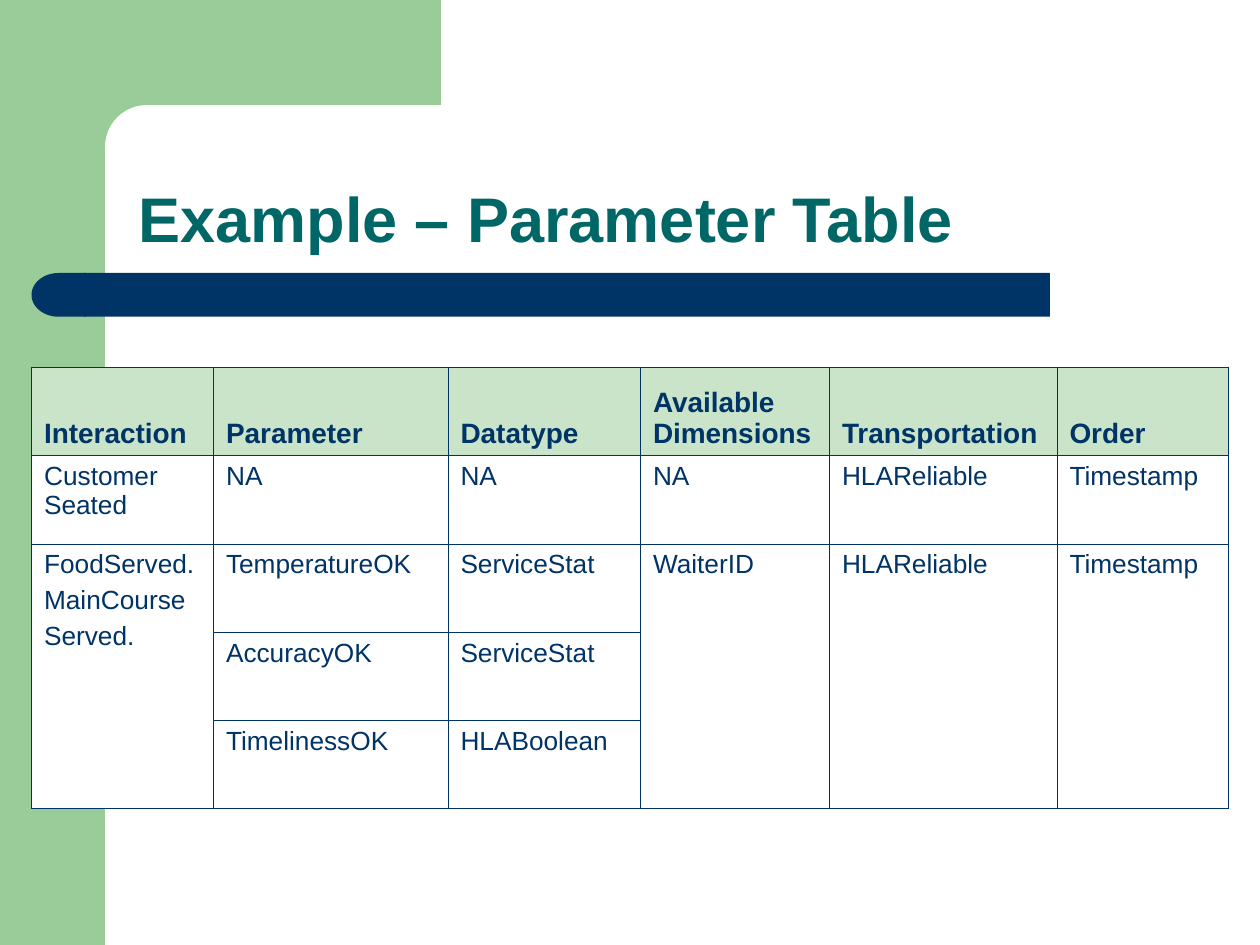
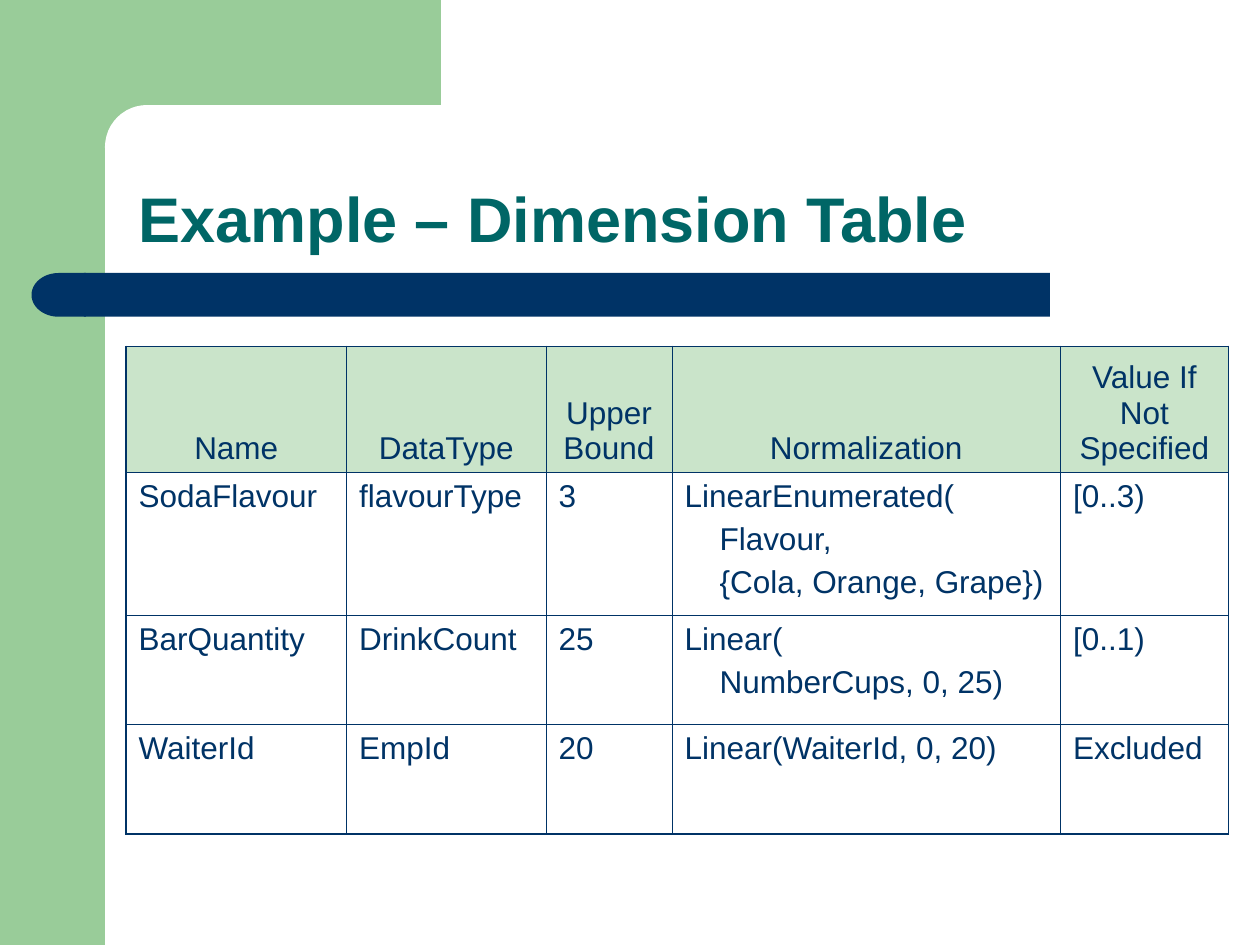
from dataclasses import dataclass

import pptx
import pptx.dml.color
import pptx.enum.shapes
import pptx.enum.text
import pptx.oxml
import pptx.oxml.ns
import pptx.presentation
import pptx.slide
import pptx.table
import pptx.text.text
import pptx.util

Pt = pptx.util.Pt
RGBColor = pptx.dml.color.RGBColor
MSO_SHAPE = pptx.enum.shapes.MSO_SHAPE
PP_ALIGN = pptx.enum.text.PP_ALIGN
MSO_ANCHOR = pptx.enum.text.MSO_ANCHOR

# Shared look
GREEN = RGBColor(0x99, 0xCC, 0x99)
PALE_GREEN = RGBColor(0xCA, 0xE4, 0xCA)
NAVY = RGBColor(0x00, 0x33, 0x66)
TEAL = RGBColor(0x00, 0x66, 0x66)
WHITE = RGBColor(0xFF, 0xFF, 0xFF)
FONT = "Arial"
INNER_BORDER = Pt(0.45)
OUTER_BORDER = Pt(1.08)
TITLE_ONLY_LAYOUT = 5


@dataclass(frozen=True)
class Band:
    """A decorative shape; lengths in points."""
    kind: MSO_SHAPE
    left: float
    top: float
    width: float
    height: float
    color: RGBColor
    rounding: float | None = None
    rotation: float = 0


@dataclass(frozen=True)
class TableSpec:
    """A table slide; lengths in points, newlines separate paragraphs."""
    title: str
    left: float
    top: float
    column_widths: list[float]
    row_heights: list[float]
    rows: list[list[str]]
    header_size: float
    body_size: float
    paragraph_gap: float
    header_bold: bool = False
    header_align: PP_ALIGN = PP_ALIGN.LEFT
    body_fill: RGBColor | None = None
    continuation_indent: float = 0
    merged_columns: tuple[int, ...] = ()
    merged_rows: tuple[int, int] = (0, 0)


BANDS = [
    Band(MSO_SHAPE.RECTANGLE, 0, 0, 60, 540, GREEN),
    Band(MSO_SHAPE.RECTANGLE, 54, 0, 198, 84, GREEN),
    Band(MSO_SHAPE.ROUNDED_RECTANGLE, 60, 60, 402, 48, WHITE, rounding=0.5),
    Band(MSO_SHAPE.ROUNDED_RECTANGLE, 48, 156, 552, 25, NAVY, rounding=0),
    Band(MSO_SHAPE.FLOWCHART_DELAY, 18, 156, 31, 25, NAVY, rotation=180),
]

PARAMETER_TABLE = TableSpec(
    title="Example – Parameter Table",
    left=18,
    top=210,
    column_widths=[104, 134, 110, 108, 130, 98],
    row_heights=[50.4] * 5,
    rows=[
        ["Interaction", "Parameter", "Datatype", "Available Dimensions", "Transportation", "Order"],
        ["Customer Seated", "NA", "NA", "NA", "HLAReliable", "Timestamp"],
        ["FoodServed.\nMainCourse\nServed.", "TemperatureOK", "ServiceStat", "WaiterID",
         "HLAReliable", "Timestamp"],
        ["", "AccuracyOK", "ServiceStat", "", "", ""],
        ["", "TimelinessOK", "HLABoolean", "", "", ""],
    ],
    header_size=16,
    body_size=15,
    paragraph_gap=3.7,
    header_bold=True,
    body_fill=WHITE,
    merged_columns=(0, 3, 4, 5),
    merged_rows=(2, 4),
)

DIMENSION_TABLE = TableSpec(
    title="Example – Dimension Table",
    left=72,
    top=198,
    column_widths=[126, 114, 72, 222, 96],
    row_heights=[72, 81.6, 62.5, 62.5],
    rows=[
        ["Name", "DataType", "Upper Bound", "Normalization", "Value If Not Specified"],
        ["SodaFlavour", "flavourType", "3",
         "LinearEnumerated(\nFlavour,\n{Cola, Orange, Grape})", "[0..3)"],
        ["BarQuantity", "DrinkCount", "25", "Linear(\nNumberCups, 0, 25)", "[0..1)"],
        ["WaiterId", "EmpId", "20", "Linear(WaiterId, 0, 20)", "Excluded"],
    ],
    header_size=18,
    body_size=18,
    paragraph_gap=4.5,
    header_align=PP_ALIGN.CENTER,
    continuation_indent=20,
)


def add_run(paragraph: pptx.text.text._Paragraph, text: str, size: float,
            color: RGBColor, bold: bool) -> None:
    run = paragraph.add_run()
    run.text = text
    run.font.name = FONT
    run.font.size = Pt(size)
    run.font.bold = bold
    run.font.color.rgb = color


def add_band(slide: pptx.slide.Slide, band: Band) -> None:
    shape = slide.shapes.add_shape(
        band.kind, Pt(band.left), Pt(band.top), Pt(band.width), Pt(band.height))
    shape.shadow.inherit = False
    shape.fill.solid()
    shape.fill.fore_color.rgb = band.color
    shape.line.fill.background()
    shape.rotation = band.rotation
    if band.rounding is not None:
        shape.adjustments[0] = band.rounding


def format_title(slide: pptx.slide.Slide, text: str) -> None:
    title = slide.shapes.title
    title.left, title.top, title.width, title.height = Pt(72), Pt(60), Pt(630), Pt(90)
    frame = title.text_frame
    frame.auto_size = pptx.enum.text.MSO_AUTO_SIZE.NONE
    frame.word_wrap = True
    frame.vertical_anchor = MSO_ANCHOR.BOTTOM
    paragraph = frame.paragraphs[0]
    paragraph.alignment = PP_ALIGN.LEFT
    paragraph.line_spacing = 0.9
    add_run(paragraph, text, 36, TEAL, bold=True)
    # Bring the title in front of the bands
    title.element.getparent().append(title.element)


def set_borders(cell: pptx.table._Cell, outer_sides: dict[str, bool]) -> None:
    properties = cell._tc.get_or_add_tcPr()
    for side, is_outer in outer_sides.items():
        width = OUTER_BORDER if is_outer else INNER_BORDER
        properties.append(pptx.oxml.parse_xml(
            f'<a:ln{side} {pptx.oxml.ns.nsdecls("a")} w="{int(width)}">'
            f'<a:solidFill><a:srgbClr val="{NAVY}"/></a:solidFill></a:ln{side}>'))


def fill_cell(cell: pptx.table._Cell, text: str, spec: TableSpec, is_header: bool) -> None:
    color = PALE_GREEN if is_header else spec.body_fill
    if color is None:
        cell.fill.background()
    else:
        cell.fill.solid()
        cell.fill.fore_color.rgb = color
    cell.vertical_anchor = MSO_ANCHOR.BOTTOM if is_header else MSO_ANCHOR.TOP
    if not text:
        return
    frame = cell.text_frame
    for index, line in enumerate(text.split("\n")):
        paragraph = frame.add_paragraph() if index else frame.paragraphs[0]
        paragraph.alignment = spec.header_align if is_header else PP_ALIGN.LEFT
        if index:
            paragraph.space_before = Pt(spec.paragraph_gap)
            paragraph._p.get_or_add_pPr().set("marL", str(int(Pt(spec.continuation_indent))))
        add_run(paragraph, line, spec.header_size if is_header else spec.body_size,
                NAVY, bold=is_header and spec.header_bold)


def add_table(slide: pptx.slide.Slide, spec: TableSpec) -> None:
    row_count, column_count = len(spec.rows), len(spec.column_widths)
    table = slide.shapes.add_table(
        row_count, column_count, Pt(spec.left), Pt(spec.top),
        Pt(sum(spec.column_widths)), Pt(sum(spec.row_heights))).table
    table.first_row = False
    table.horz_banding = False
    for column, width in zip(table.columns, spec.column_widths):
        column.width = Pt(width)
    for row, height in zip(table.rows, spec.row_heights):
        row.height = Pt(height)
    first, last = spec.merged_rows
    for column_index in spec.merged_columns:
        table.cell(first, column_index).merge(table.cell(last, column_index))

    for row_index, texts in enumerate(spec.rows):
        for column_index, text in enumerate(texts):
            cell = table.cell(row_index, column_index)
            row_span = cell.span_height if cell.is_merge_origin else 1
            set_borders(cell, {
                "L": column_index == 0,
                "R": column_index == column_count - 1,
                "T": row_index == 0,
                "B": row_index + row_span == row_count,
            })
            fill_cell(cell, text, spec, is_header=row_index == 0)


def add_table_slide(presentation: pptx.presentation.Presentation, spec: TableSpec) -> None:
    slide = presentation.slides.add_slide(presentation.slide_layouts[TITLE_ONLY_LAYOUT])
    for band in BANDS:
        add_band(slide, band)
    format_title(slide, spec.title)
    add_table(slide, spec)


def main() -> None:
    presentation = pptx.Presentation()
    presentation.slide_width = Pt(720)
    presentation.slide_height = Pt(540)
    for spec in (PARAMETER_TABLE, DIMENSION_TABLE):
        add_table_slide(presentation, spec)
    presentation.save("out.pptx")


if __name__ == "__main__":
    main()
